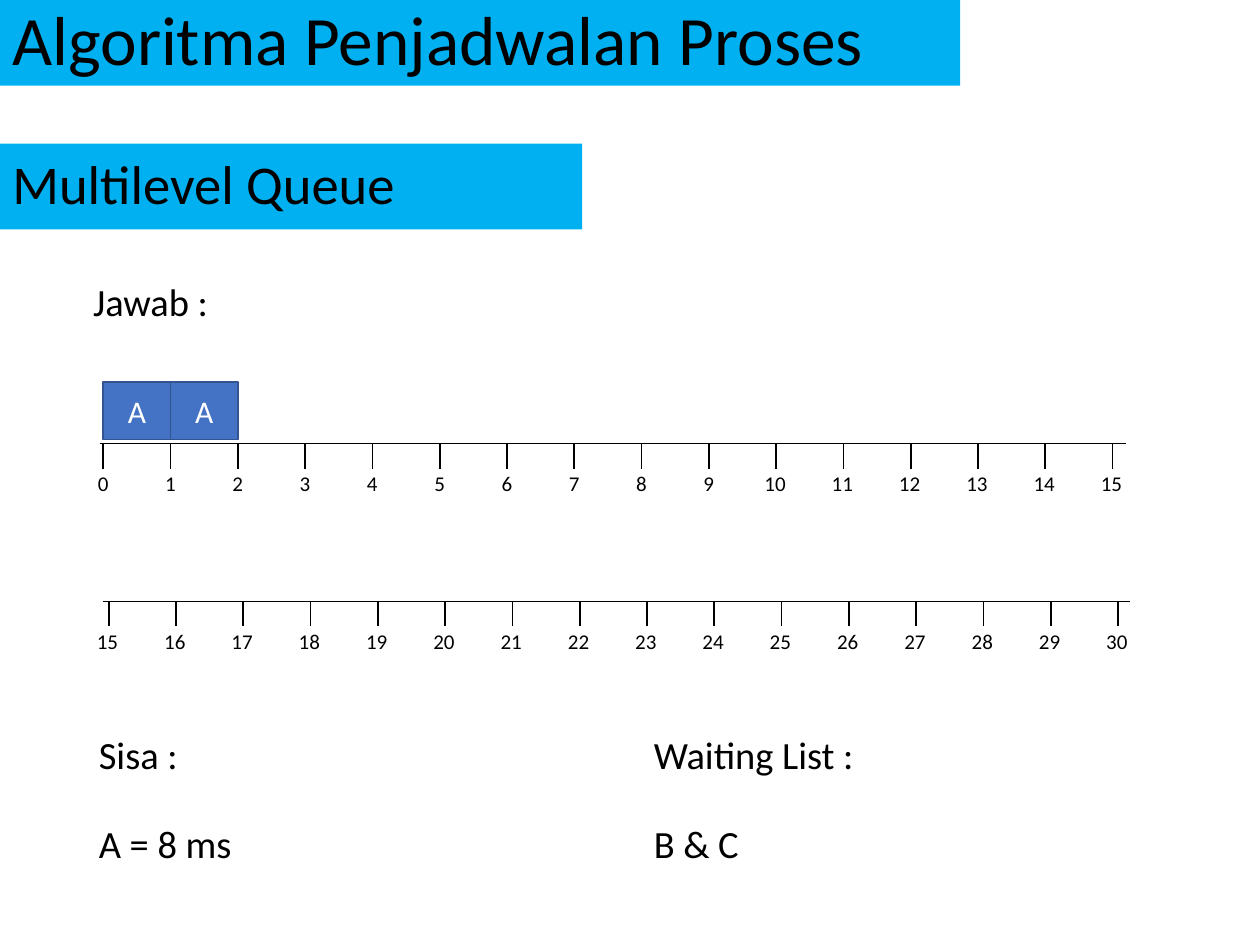
"""Build the multilevel queue scheduling slide with two time axes."""
from lxml.etree import SubElement
from pptx import Presentation
from pptx.dml.color import RGBColor
from pptx.enum.shapes import MSO_CONNECTOR, MSO_SHAPE
from pptx.enum.text import MSO_ANCHOR, PP_ALIGN
from pptx.oxml.ns import qn
from pptx.util import Pt

BLACK = RGBColor(0x00, 0x00, 0x00)
WHITE = RGBColor(0xFF, 0xFF, 0xFF)
CYAN = RGBColor(0x00, 0xB0, 0xF0)
BLUE = RGBColor(0x44, 0x72, 0xC4)
DARK_BLUE = RGBColor(0x32, 0x54, 0x91)
FONT = "Calibri"

BANNERS = [
    ("Algoritma Penjadwalan Proses", 0, 548.64, 39.6),
    ("Multilevel Queue", 82.08, 332.64, 31.2),
]
BANNER_HEIGHT = 48.96
PROCESSES = ["A", "A"]
PROCESS_TOP, PROCESS_HEIGHT = 218.16, 33.12
NOTES = [
    ("Jawab :", 46.08, 155.52),
    ("Sisa :", 49.4, 414),
    ("A = 8 ms", 49.4, 465.12),
    ("Waiting List :", 366.48, 414),
    ("B & C", 366.48, 465.12),
]
TIMELINES = [
    {"first": 0, "last": 15, "axis_left": 56.88, "tick_left": 59.04, "top": 253.44},
    {"first": 15, "last": 30, "axis_left": 59.04, "tick_left": 62.1, "top": 343.44},
]
STEP = 38.45
AXIS_LENGTH = 586.8
TICK_LENGTH = 14.4
LABEL_DROP = 11.9
LABEL_HEIGHT = 21.8


def write(shape, text, size, color=BLACK, align=PP_ALIGN.LEFT, anchor=MSO_ANCHOR.TOP, spacing=1.0):
    frame = shape.text_frame
    frame.text = text
    frame.word_wrap = True
    frame.vertical_anchor = anchor
    paragraph = frame.paragraphs[0]
    paragraph.alignment = align
    paragraph.line_spacing = spacing
    font = paragraph.runs[0].font
    font.name, font.size = FONT, Pt(size)
    font.color.rgb = color


def add_rectangle(slide, left, top, width, height, fill):
    shape = slide.shapes.add_shape(MSO_SHAPE.RECTANGLE, Pt(left), Pt(top), Pt(width), Pt(height))
    shape.shadow.inherit = False
    shape.fill.solid()
    shape.fill.fore_color.rgb = fill
    shape.line.fill.background()
    return shape


def add_label(slide, text, left, top, width, height, size, align=PP_ALIGN.LEFT):
    box = slide.shapes.add_textbox(Pt(left), Pt(top), Pt(width), Pt(height))
    write(box, text, size, align=align)


def add_line(slide, x1, y1, x2, y2, width):
    line = slide.shapes.add_connector(MSO_CONNECTOR.STRAIGHT, Pt(x1), Pt(y1), Pt(x2), Pt(y2))
    line.line.color.rgb = BLACK
    line.line.width = Pt(width)
    SubElement(line._element.spPr, qn("a:effectLst"))


def add_timeline(slide, first, last, axis_left, tick_left, top):
    add_line(slide, axis_left, top, axis_left + AXIS_LENGTH, top, 0.5)
    for index, time in enumerate(range(first, last + 1)):
        x = tick_left + index * STEP
        add_line(slide, x, top, x, top + TICK_LENGTH, 1)
        offset, width = (10.2, 23.76) if time < 10 else (13.8, 28.8)
        add_label(slide, str(time), x - offset, top + LABEL_DROP, width, LABEL_HEIGHT, 12)


def main():
    presentation = Presentation()
    presentation.slide_width, presentation.slide_height = Pt(720), Pt(540)
    slide = presentation.slides.add_slide(presentation.slide_layouts[6])

    for text, top, width, size in BANNERS:
        banner = add_rectangle(slide, 0, top, width, BANNER_HEIGHT, CYAN)
        write(banner, text, size, anchor=MSO_ANCHOR.MIDDLE, spacing=0.9)

    for index, process in enumerate(PROCESSES):
        left = TIMELINES[0]["tick_left"] + index * STEP
        block = add_rectangle(slide, left, PROCESS_TOP, STEP, PROCESS_HEIGHT, BLUE)
        block.line.color.rgb = DARK_BLUE
        block.line.width = Pt(1)
        write(block, process, 18, WHITE, PP_ALIGN.CENTER, MSO_ANCHOR.MIDDLE)

    for timeline in TIMELINES:
        add_timeline(slide, **timeline)

    for text, left, top in NOTES:
        add_label(slide, text, left, top, 142.56, 33.84, 22, PP_ALIGN.JUSTIFY)

    presentation.save("out.pptx")


if __name__ == "__main__":
    main()
